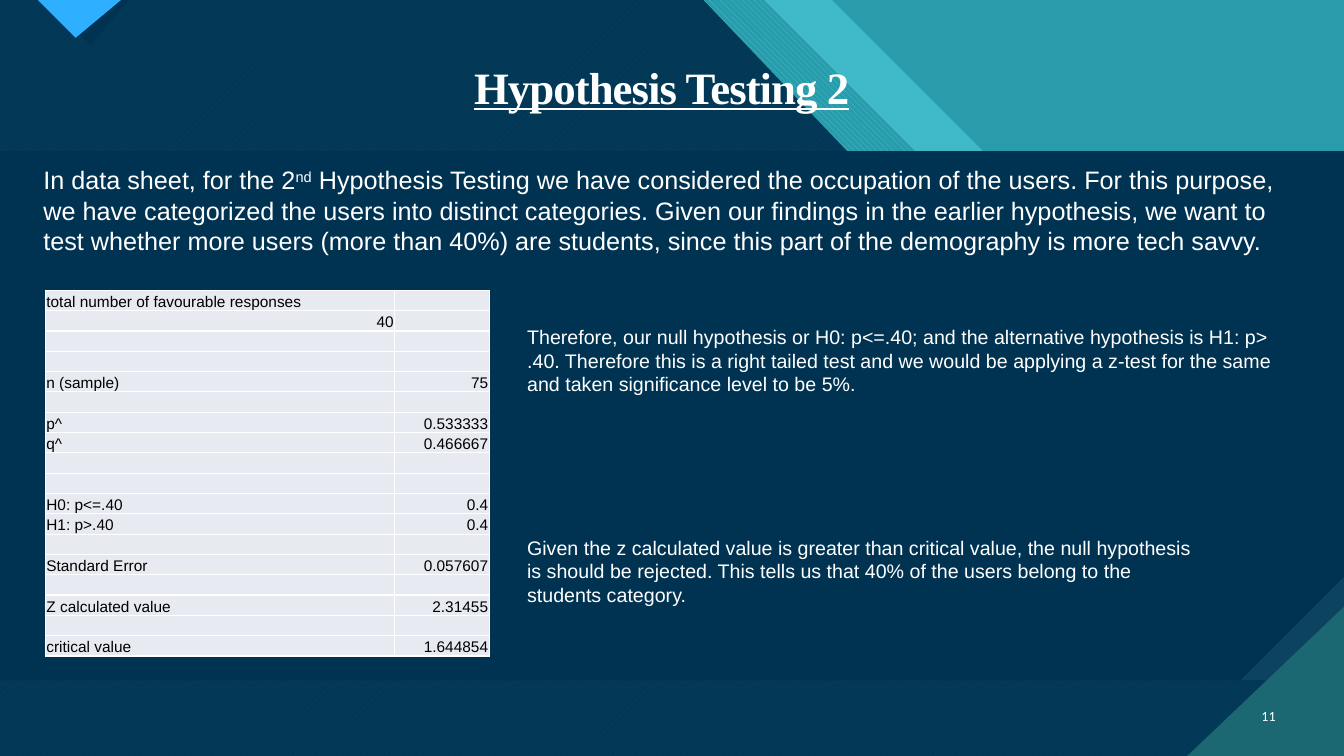
import pptx
import pptx.util
import pptx.dml.color
import pptx.enum.dml
import pptx.enum.text
import pptx.oxml
import pptx.oxml.ns
from dataclasses import dataclass


@dataclass(frozen=True)
class Theme:
    navy: str = "003352"
    slate: str = "0C4360"
    teal: str = "299CAB"
    aqua: str = "47C3D3"
    light: str = "3FB8C8"
    deep: str = "1B6872"
    blue: str = "2FAFFF"
    white: str = "FFFFFF"
    black: str = "000000"
    cell: str = "E7EAF0"
    sans: str = "Arial"
    serif: str = "Times New Roman"
    small: str = "Calibri"
    head: int = 32
    lead: int = 18
    text: int = 14
    grid: int = 11
    foot: int = 10


theme = Theme()
rgb = pptx.dml.color.RGBColor.from_string
align = pptx.enum.text.PP_ALIGN
anchor = pptx.enum.text.MSO_ANCHOR
weave = pptx.enum.dml.MSO_PATTERN

deck = pptx.Presentation()
deck.slide_width = pptx.util.Inches(13.33)
deck.slide_height = pptx.util.Inches(7.5)
unit = deck.slide_height / 100
wide = deck.slide_width / unit
high = 100
slide = deck.slides.add_slide(deck.slide_layouts[1])
shapes = slide.shapes
slide.background.fill.solid()
slide.background.fill.fore_color.rgb = rgb(theme.aqua)


def draw(points, color, weft=None, back=None, alpha=None):
    pen = shapes.build_freeform(*points[0], scale=unit)
    pen.add_line_segments(points[1:], close=True)
    form = pen.convert_to_shape()
    form.shadow.inherit = False
    form.line.fill.background()
    if weft is None:
        form.fill.solid()
    else:
        form.fill.patterned()
        form.fill.pattern = weft
        form.fill.back_color.rgb = rgb(back)
    form.fill.fore_color.rgb = rgb(color)
    if alpha:
        tone = form._element.spPr.find(".//" + pptx.oxml.ns.qn("a:srgbClr"))
        pptx.oxml.ns.qn("a:alpha")
        tone.append(pptx.oxml.parse_xml(
            f'<a:alpha {pptx.oxml.ns.nsdecls("a")} val="{alpha * 1000}"/>'))


def write(box, area, para, size, font=theme.sans, side=align.LEFT):
    box.left, box.top, box.width, box.height = [int(n * unit) for n in area]
    box.text_frame.word_wrap = True
    box.text_frame.auto_size = pptx.enum.text.MSO_AUTO_SIZE.NONE
    para.alignment = side
    para.space_before = pptx.util.Pt(0)
    para.font.size = pptx.util.Pt(size)
    para.font.name = font
    para.font.color.rgb = rgb(theme.white)


top, base = 19.8, 90.4
draw([(0, 0), (wide, 0), (wide, high), (0, high)], theme.teal)
bands = [
    (110, theme.light, None, None, None),
    (101.33, theme.aqua, weave.WIDE_DOWNWARD_DIAGONAL, theme.teal, None),
    (92.67, theme.aqua, weave.WIDE_UPWARD_DIAGONAL, theme.deep, None),
    (92.67, theme.navy, None, None, 90),
]
for edge, *look in bands:
    draw([(0, 0), (edge, 0), (edge + top, top), (wide, top),
          (wide, high), (0, high)], *look)

draw([(6.4, 0), (17.4, 0), (11.9, 5.5)], theme.navy)
draw([(4.9, 0), (15.6, 0), (10.25, 5.35)], theme.blue)
snip, fold = 13.9, 20.5
draw([(0, top), (wide, top), (wide, base), (0, base)], theme.slate)
draw([(0, top), (wide, top), (wide, base - snip), (wide - snip, base),
      (0, base)], theme.navy)
draw([(wide - fold, high), (wide, high), (wide, high - fold)], theme.deep)

title = shapes.title
title.text_frame.text = "Hypothesis Testing 2"
head = title.text_frame.paragraphs[0]
write(title, (35.5, 7.9, 104, 7.9), head, theme.head, theme.serif, align.CENTER)
title.text_frame.vertical_anchor = anchor.MIDDLE
head.line_spacing = 0.9
head.font.bold = True
head.font.underline = True
head.runs[0]._r.get_or_add_rPr().set("spc", "-70")

body = slide.placeholders[1]
lead = body.text_frame.paragraphs[0]
for words, lift in [
    ("In data sheet, for the 2", 0),
    ("nd", 30),
    (" Hypothesis Testing we have considered the occupation of the users. "
     "For this purpose, we have categorized the users into distinct categories. "
     "Given our findings in the earlier hypothesis, we want to test whether more "
     "users (more than 40%) are students, since this part of the demography is "
     "more tech savvy.", 0),
]:
    run = lead.add_run()
    run.text = words
    if lift:
        run._r.get_or_add_rPr().set("baseline", str(lift * 1000))
write(body, (4.4, 21.1, 169, 13.5), lead, theme.lead)
props = lead._p.get_or_add_pPr()
props.set("marL", "0")
props.set("indent", "0")
props.find(pptx.oxml.ns.qn("a:defRPr")).addprevious(
    pptx.oxml.parse_xml(f'<a:buNone {pptx.oxml.ns.nsdecls("a")}/>'))
for holder in (title, body):
    shapes._spTree.append(holder._element)

notes = [
    ((68.4, 42.3, 104.5, 10.8), theme.text, theme.sans, align.LEFT,
     "Therefore, our null hypothesis or H0: p<=.40; and the alternative "
     "hypothesis is H1: p> .40. Therefore this is a right tailed test and we "
     "would be applying a z-test for the same and taken significance level to be 5%."),
    ((68.4, 70.1, 92, 10.8), theme.text, theme.sans, align.LEFT,
     "Given the z calculated value is greater than critical value, the null "
     "hypothesis is should be rejected. This tells us that 40% of the users "
     "belong to the students category."),
    ((164.1, 92.1, 5.9, 5.3), theme.foot, theme.small, align.RIGHT, "11"),
]
for area, size, font, side, words in notes:
    box = shapes.add_textbox(0, 0, 0, 0)
    box.text_frame.text = words
    box.text_frame.vertical_anchor = anchor.MIDDLE
    write(box, area, box.text_frame.paragraphs[0], size, font, side)

rows = [
    ("total number of favourable responses", ""), ("40", ""), ("", ""), ("", ""),
    ("n (sample)", "75"), ("", ""), ("p^", "0.533333"), ("q^", "0.466667"),
    ("", ""), ("", ""), ("H0: p<=.40", "0.4"), ("H1: p>.40", "0.4"), ("", ""),
    ("Standard Error", "0.057607"), ("", ""), ("Z calculated value", "2.31455"),
    ("", ""), ("critical value", "1.644854"),
]
cols = (46.2, 12.5)
table = shapes.add_table(
    len(rows), len(cols), *[int(n * unit) for n in (6, 38.4, sum(cols), 48.4)]).table
for col, span in zip(table.columns, cols):
    col.width = int(span * unit)
for r, row in enumerate(rows):
    for c, words in enumerate(row):
        cell = table.cell(r, c)
        cell.text = words
        cell.vertical_anchor = anchor.BOTTOM
        cell.margin_left = cell.margin_right = cell.margin_top = pptx.util.Inches(0.01)
        cell.margin_bottom = 0
        para = cell.text_frame.paragraphs[0]
        para.alignment = align.RIGHT if c or words.isdigit() else align.LEFT
        para.font.size = pptx.util.Pt(theme.grid)
        para.font.name = theme.sans
        para.font.color.rgb = rgb(theme.black)
        para.font.bold = False
        if not words:
            para._p.append(pptx.oxml.parse_xml(
                f'<a:endParaRPr {pptx.oxml.ns.nsdecls("a")} sz="{theme.grid * 100}"/>'))
        for side in "LRTB":
            cell._tc.get_or_add_tcPr().append(pptx.oxml.parse_xml(
                f'<a:ln{side} {pptx.oxml.ns.nsdecls("a")} w="12700"><a:solidFill>'
                f'<a:srgbClr val="{theme.white}"/></a:solidFill></a:ln{side}>'))
        cell.fill.solid()
        cell.fill.fore_color.rgb = rgb(theme.cell)

deck.save("out.pptx")
